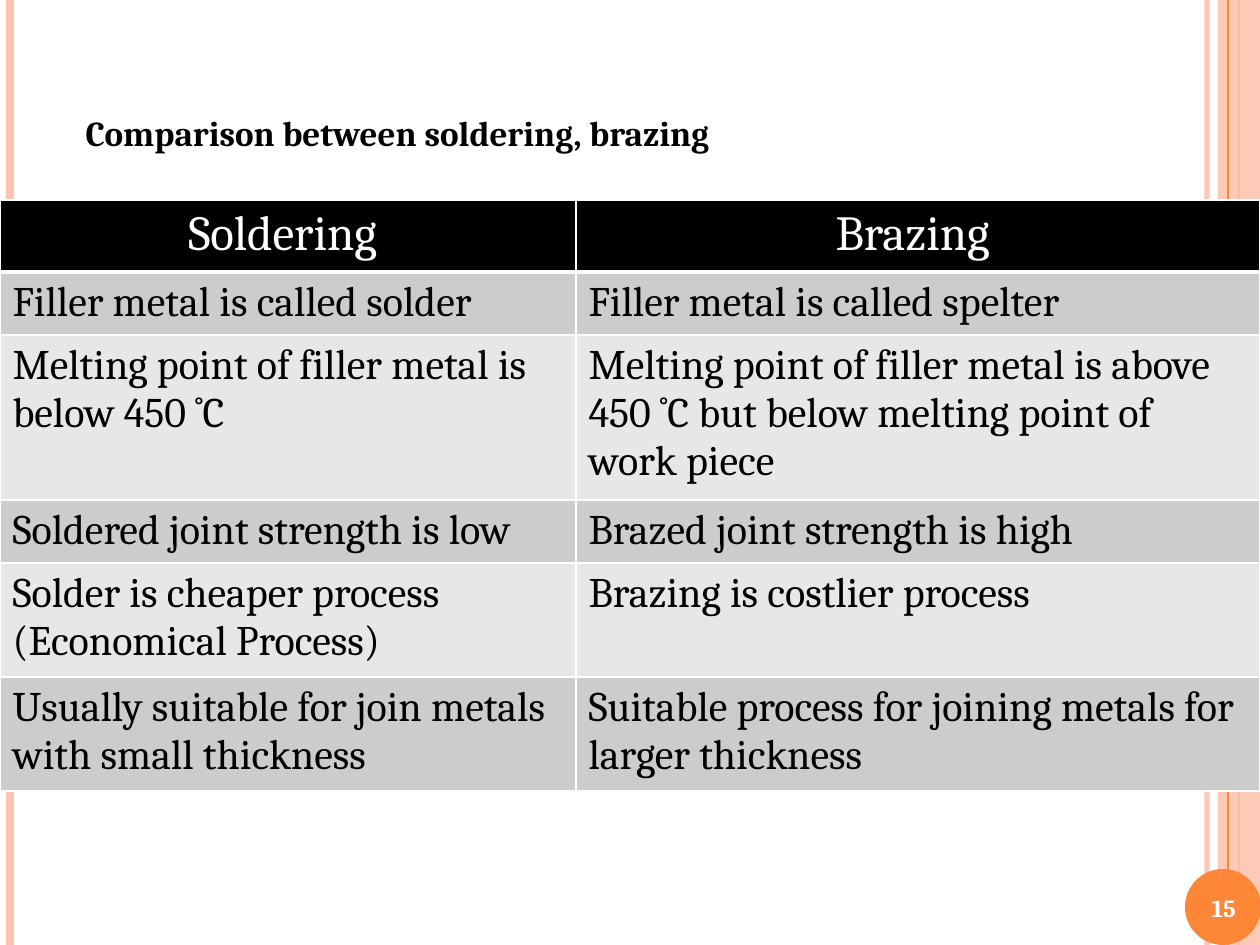
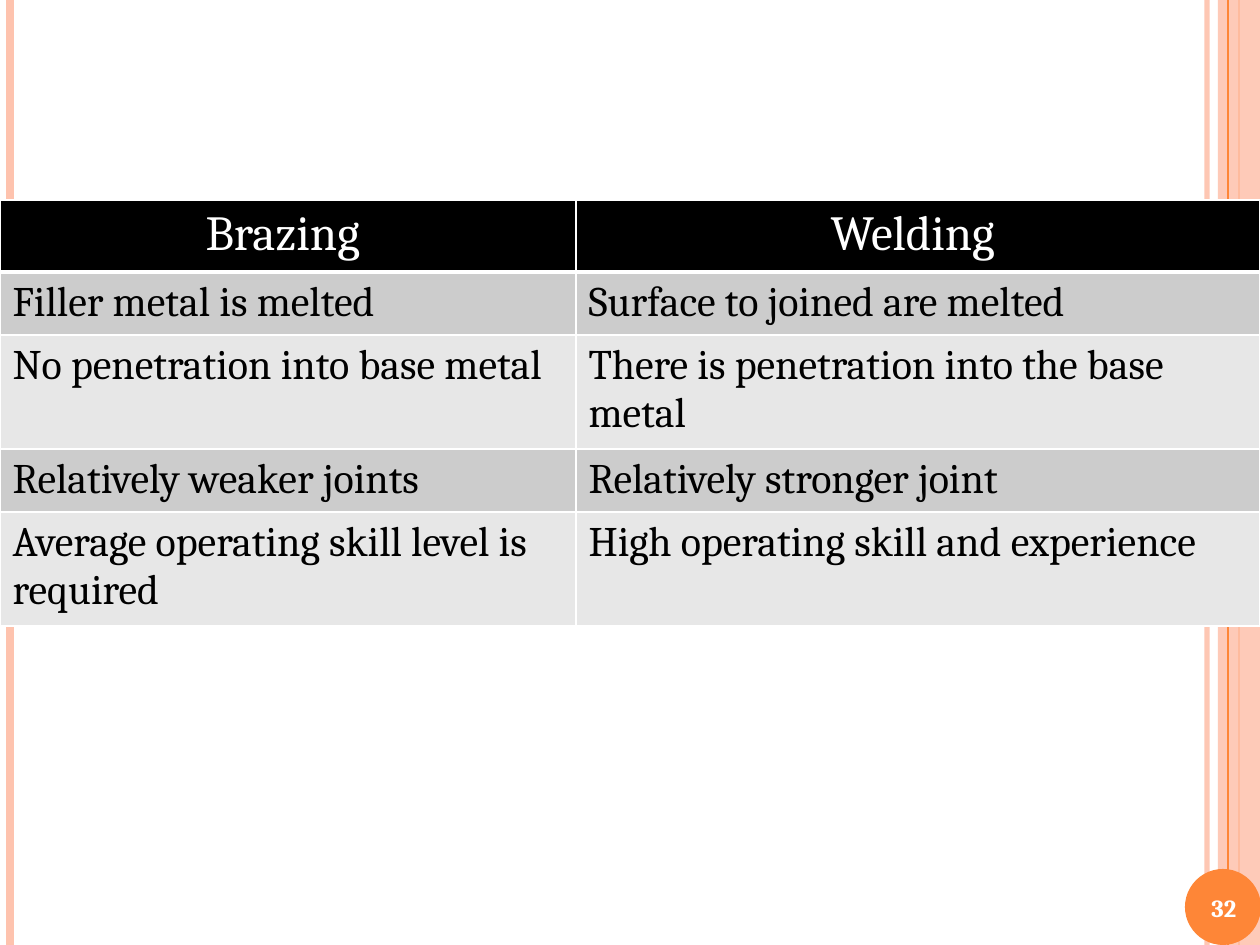
import pptx
import pptx.util
import pptx.dml.color
import pptx.enum.shapes
import pptx.enum.text
import pptx.oxml
import pptx.oxml.ns

FONT = "Cambria"
WHITE, BLACK, PEACH, ORANGE = "FFFFFF", "000000", "FEC3AE", "FE8637"
BANDS = ["E7E7E7", "CCCCCC"]
SCALE = 914400 // 126
WIDE, HIGH = 1260, 945
COLS = [576, 684]
TOP = 200
HEAD = 72
LINES = {1: 63, 2: 114, 3: 165}
STRIPES = [(1207, PEACH, 3, 93), (10, PEACH, 4.5, 100), (1239, ORANGE, 1.5, 100)]
EDGE = (1228, ORANGE, 0.75, 100)

PAGES = [
    {
        "page": "15",
        "title": "Comparison between soldering, brazing",
        "head": ("Soldering ", "Brazing "),
        "rows": [
            (1, "Filler metal is called solder", "Filler metal is called spelter"),
            (3, "Melting point of filler metal is below 450 ˚C",
             "Melting point of filler metal is above 450 ˚C but below melting point of work piece"),
            (1, "Soldered joint strength is low", "Brazed joint strength is high"),
            (2, "Solder is cheaper process (Economical Process)", "Brazing is costlier process"),
            (2, "Usually suitable for join metals with small thickness",
             "Suitable process for joining metals for larger thickness"),
        ],
    },
    {
        "page": "32",
        "title": None,
        "head": ("Brazing ", "Welding "),
        "rows": [
            (1, "Filler metal is melted", "Surface to joined are melted"),
            (2, "No penetration into base metal", "There is penetration into the base metal"),
            (1, "Relatively weaker joints", "Relatively stronger joint"),
            (2, "Average operating skill level is required", "High operating skill and experience"),
        ],
    },
]

ALIGN = pptx.enum.text.PP_ALIGN
ANCHOR = pptx.enum.text.MSO_ANCHOR
SHAPE = pptx.enum.shapes.MSO_SHAPE


def px(*nums):
    return [pptx.util.Emu(num * SCALE) for num in nums]


def paint(fill, color, alpha=100):
    fill.solid()
    fill.fore_color.rgb = pptx.dml.color.RGBColor.from_string(color)
    if alpha < 100:
        tone = fill._xPr.find(".//" + pptx.oxml.ns.qn("a:srgbClr"))
        tone.append(pptx.oxml.parse_xml(
            f'<a:alpha {pptx.oxml.ns.nsdecls("a")} val="{alpha * 1000}"/>'))


def write(frame, text, size, color, align=ALIGN.LEFT, bold=False):
    para = frame.paragraphs[0]
    para.alignment = align
    run = para.add_run()
    run.text = text
    run.font.name = FONT
    run.font.size = pptx.util.Pt(size)
    run.font.bold = bold
    paint(run.font.fill, color)


def stripe(shapes, left, color, width, alpha):
    line = shapes.add_connector(
        pptx.enum.shapes.MSO_CONNECTOR.STRAIGHT, *px(left, 0, left, HIGH))
    line.line.width = pptx.util.Pt(width)
    paint(line.line.fill, color, alpha)
    line.element.spPr.append(pptx.oxml.parse_xml(
        f'<a:effectLst {pptx.oxml.ns.nsdecls("a")}/>'))
    return line


def block(shapes, kind, box, color, alpha=100):
    shape = shapes.add_shape(kind, *px(*box))
    shape.shadow.inherit = False
    shape.line.fill.background()
    paint(shape.fill, color, alpha)
    return shape


def dress(master, shapes):
    parts = [stripe(shapes, *item) for item in STRIPES]
    parts.append(block(shapes, SHAPE.RECTANGLE, (1218, 0, 42, HIGH), PEACH, 87))
    parts.append(stripe(shapes, *EDGE))
    parts.append(block(shapes, SHAPE.OVAL, (1185, 869, 76, 76), ORANGE))
    for part in parts:
        master.shapes.element.append(part.element)


def border(cell, base):
    props = cell._tc.get_or_add_tcPr()
    for spot, side in enumerate("LRTB"):
        width = pptx.util.Pt(base if side == "B" else 1)
        props.insert(spot, pptx.oxml.parse_xml(
            f'<a:ln{side} {pptx.oxml.ns.nsdecls("a")} w="{width}"><a:solidFill>'
            f'<a:srgbClr val="{WHITE}"/></a:solidFill></a:ln{side}>'))


def fill_row(table, row, texts, color, ink, size, align, base):
    for col, text in enumerate(texts):
        cell = table.cell(row, col)
        paint(cell.fill, color)
        border(cell, base)
        write(cell.text_frame, text, size, ink, align)


def compare(shapes, head, rows):
    highs = [HEAD] + [LINES[row[0]] for row in rows]
    table = shapes.add_table(
        len(highs), len(COLS), *px(0, TOP, WIDE, sum(highs))).table
    for col, width in zip(table.columns, px(*COLS)):
        col.width = width
    for row, high in zip(table.rows, px(*highs)):
        row.height = high
    fill_row(table, 0, head, BLACK, WHITE, 28, ALIGN.CENTER, 3)
    for num, (_, *texts) in enumerate(rows, 1):
        fill_row(table, num, texts, BANDS[num % 2], BLACK, 24, ALIGN.LEFT, 1)


def number(shapes, page):
    box = shapes.add_textbox(*px(1182, 872, 84, 72))
    box.text_frame.word_wrap = True
    box.text_frame.vertical_anchor = ANCHOR.MIDDLE
    write(box.text_frame, page, 14, WHITE, ALIGN.CENTER, True)


def head_line(title, text):
    title.left, title.top, title.width, title.height = px(73, 105, 1138, 55)
    frame = title.text_frame
    frame.auto_size = pptx.enum.text.MSO_AUTO_SIZE.SHAPE_TO_FIT_TEXT
    frame.vertical_anchor = ANCHOR.TOP
    write(frame, text, 20, BLACK, bold=True)


def main():
    deck = pptx.Presentation()
    deck.slide_width, deck.slide_height = px(WIDE, HIGH)
    for num, page in enumerate(PAGES):
        slide = deck.slides.add_slide(deck.slide_layouts[5 if page["title"] else 6])
        if num == 0:
            dress(deck.slide_master, slide.shapes)
        number(slide.shapes, page["page"])
        if page["title"]:
            head_line(slide.shapes.title, page["title"])
        compare(slide.shapes, page["head"], page["rows"])
    deck.save("out.pptx")


if __name__ == "__main__":
    main()
